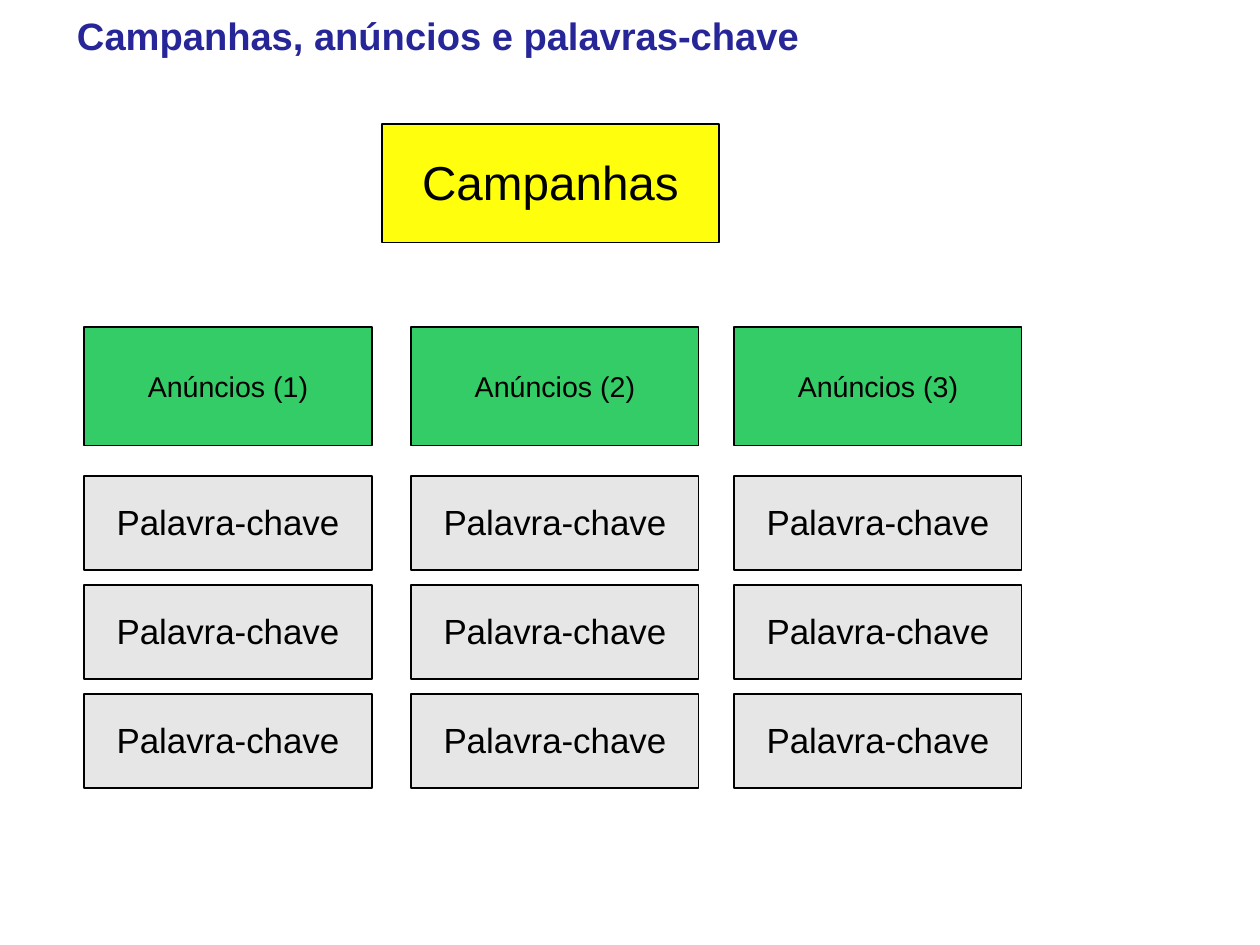
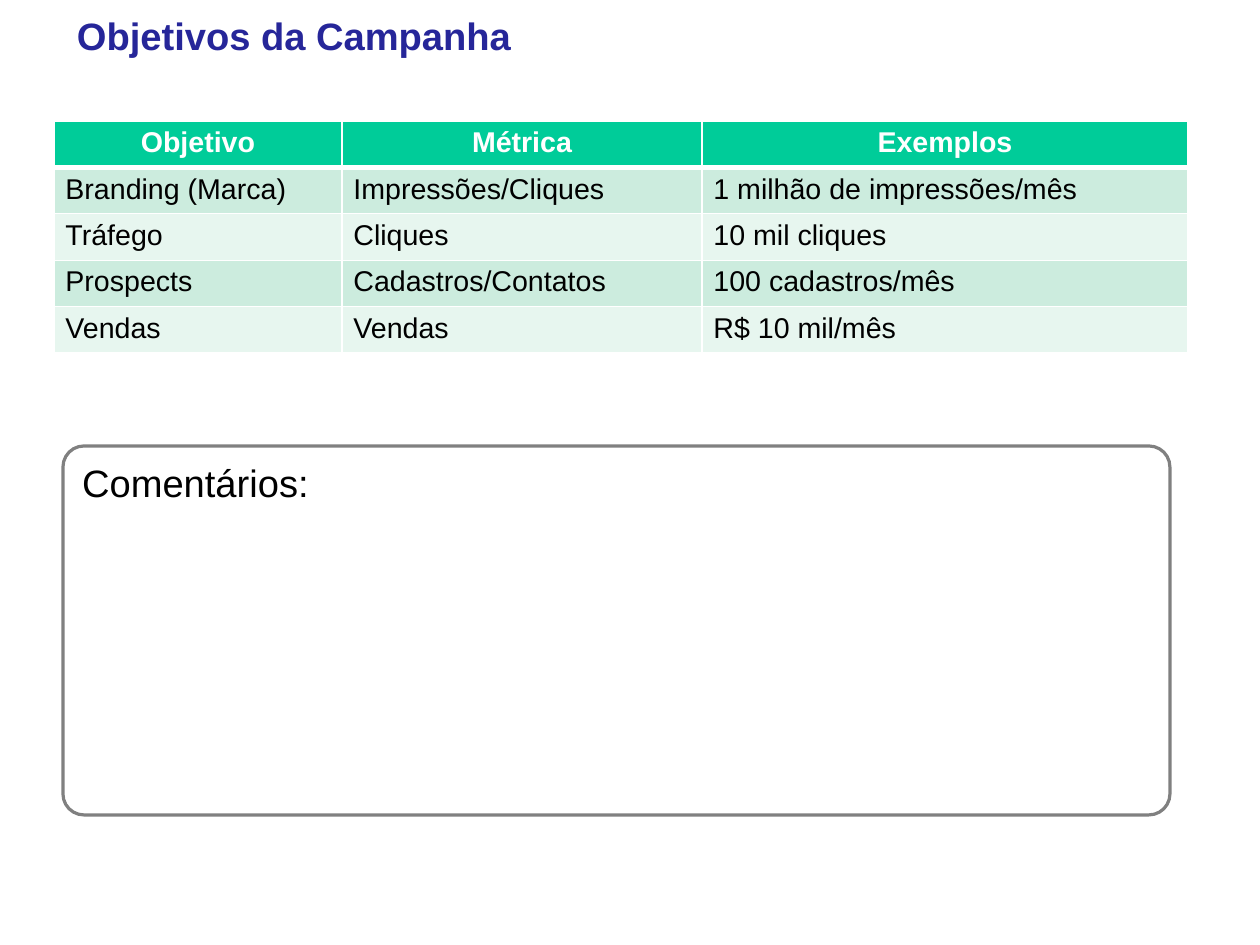
from lxml.etree import SubElement
from pptx import Presentation
from pptx.dml.color import RGBColor
from pptx.enum.shapes import MSO_SHAPE
from pptx.enum.text import MSO_ANCHOR, MSO_AUTO_SIZE, PP_ALIGN
from pptx.oxml.ns import qn
from pptx.util import Pt

EMU_PER_PX = 8000
SLIDE_SIZE = (1260, 945)
FONT = "Arial"
LINE_SPACING = 0.93
BLACK, WHITE, NAVY, GRAY = "000000", "FFFFFF", "262699", "808080"
YELLOW, GREEN, LIGHT_GRAY = "FFFF0D", "33CC66", "E6E6E6"
HEADER_FILL, BAND_FILLS = "00CC99", ("CCECDE", "E7F6EF")

TITLE_BOX = (77, 1, 1152, 74)

CAMPAIGN_TITLE = "Campanhas, anúncios e palavras-chave"
CAMPAIGN = "Campanhas"
CAMPAIGN_BOX = (382, 124, 337, 119)
ADS = ["Anúncios (1)", "Anúncios (2)", "Anúncios (3)"]
KEYWORDS = ["Palavra-chave"] * 3
COLUMN_LEFTS, COLUMN_WIDTH = (84, 411, 734), 288
AD_TOP, AD_HEIGHT = 327, 119
KEYWORD_TOP, KEYWORD_HEIGHT, KEYWORD_GAP = 476, 94, 15

GOALS_TITLE = "Objetivos da Campanha"
GOALS = [
    ("Objetivo", "Métrica", "Exemplos"),
    ("Branding (Marca)", "Impressões/Cliques", "1 milhão de impressões/mês"),
    ("Tráfego", "Cliques", "10 mil cliques"),
    ("Prospects", "Cadastros/Contatos", "100 cadastros/mês"),
    ("Vendas", "Vendas", "R$ 10 mil/mês"),
]
GOALS_LEFT, GOALS_TOP, GOALS_HEIGHT = 54, 121, 232
GOALS_COLUMNS = (288, 360, 486)
COMMENTS = "Comentários:"
COMMENTS_BOX = (63, 446, 1107, 369)


def px(value):
    return int(value * EMU_PER_PX)


def color(value):
    return RGBColor.from_string(value)


def set_attributes(target, values):
    for name, value in values.items():
        setattr(target, name, value)


def write(frame, text, size, text_color, bold=False, align=PP_ALIGN.LEFT, spacing=None):
    paragraph = frame.paragraphs[0]
    paragraph.text = text
    set_attributes(paragraph, {"alignment": align, "line_spacing": spacing})
    font = paragraph.runs[0].font
    set_attributes(font, {"name": FONT, "size": Pt(size), "bold": bold})
    font.color.rgb = color(text_color)


def set_frame(frame, anchor, insets):
    """Insets are left, top, right, bottom in px."""
    left, top, right, bottom = map(px, insets)
    set_attributes(frame, {
        "word_wrap": True, "auto_size": MSO_AUTO_SIZE.NONE, "vertical_anchor": anchor,
        "margin_left": left, "margin_top": top,
        "margin_right": right, "margin_bottom": bottom,
    })


def add_titled_slide(presentation, title):
    slide = presentation.slides.add_slide(presentation.slide_layouts[5])
    shape = slide.shapes.title
    set_attributes(shape, dict(zip(("left", "top", "width", "height"), map(px, TITLE_BOX))))
    set_frame(shape.text_frame, MSO_ANCHOR.MIDDLE, (0, 0, 0, 0))
    write(shape.text_frame, title, 24, NAVY, bold=True, spacing=LINE_SPACING)
    return slide


def add_outlined_shape(slide, kind, box, line_color, line_width):
    shape = slide.shapes.add_shape(kind, *map(px, box))
    shape.shadow.inherit = False
    shape.line.color.rgb = color(line_color)
    shape.line.width = Pt(line_width)
    return shape


def add_block(slide, box, text, size, fill, insets=(11, 8, 11, 6)):
    block = add_outlined_shape(slide, MSO_SHAPE.RECTANGLE, box, BLACK, 0.75)
    block.fill.solid()
    block.fill.fore_color.rgb = color(fill)
    set_frame(block.text_frame, MSO_ANCHOR.MIDDLE, insets)
    write(block.text_frame, text, size, BLACK, align=PP_ALIGN.CENTER, spacing=LINE_SPACING)


def set_borders(cell, widths):
    """Widths are points, keyed by side letter in the order L, R, T, B."""
    properties = cell._tc.get_or_add_tcPr()
    for side, width in widths.items():
        line = SubElement(properties, qn(f"a:ln{side}"), w=str(Pt(width)))
        SubElement(SubElement(line, qn("a:solidFill")), qn("a:srgbClr"), val=WHITE)


def add_goals_table(slide):
    table = slide.shapes.add_table(
        len(GOALS), len(GOALS_COLUMNS), px(GOALS_LEFT), px(GOALS_TOP),
        px(sum(GOALS_COLUMNS)), px(GOALS_HEIGHT)).table
    for column, width in zip(table.columns, GOALS_COLUMNS):
        column.width = px(width)
    for row, texts in enumerate(GOALS):
        header = row == 0
        for column, text in enumerate(texts):
            cell = table.cell(row, column)
            set_borders(cell, {"L": 1, "R": 1, "T": 3 if row == 1 else 1, "B": 3 if header else 1})
            cell.fill.solid()
            cell.fill.fore_color.rgb = color(HEADER_FILL if header else BAND_FILLS[(row - 1) % 2])
            write(cell.text_frame, text, 18, WHITE if header else BLACK, bold=header,
                  align=PP_ALIGN.CENTER if header else PP_ALIGN.LEFT)


def build_campaign_slide(presentation):
    slide = add_titled_slide(presentation, CAMPAIGN_TITLE)
    add_block(slide, CAMPAIGN_BOX, CAMPAIGN, 30, YELLOW, insets=(13, 10, 13, 7))
    for left, ad in zip(COLUMN_LEFTS, ADS):
        add_block(slide, (left, AD_TOP, COLUMN_WIDTH, AD_HEIGHT), ad, 18, GREEN)
        for index, keyword in enumerate(KEYWORDS):
            top = KEYWORD_TOP + index * (KEYWORD_HEIGHT + KEYWORD_GAP)
            add_block(slide, (left, top, COLUMN_WIDTH, KEYWORD_HEIGHT), keyword, 22, LIGHT_GRAY)


def build_goals_slide(presentation):
    slide = add_titled_slide(presentation, GOALS_TITLE)
    add_goals_table(slide)
    comments = add_outlined_shape(slide, MSO_SHAPE.ROUNDED_RECTANGLE, COMMENTS_BOX, GRAY, 2)
    comments.adjustments[0] = 0.057
    comments.fill.background()
    set_frame(comments.text_frame, MSO_ANCHOR.TOP, (13, 7, 13, 7))
    write(comments.text_frame, COMMENTS, 24, BLACK)


def main():
    presentation = Presentation()
    presentation.slide_width, presentation.slide_height = map(px, SLIDE_SIZE)
    build_campaign_slide(presentation)
    build_goals_slide(presentation)
    presentation.save("out.pptx")


if __name__ == "__main__":
    main()
